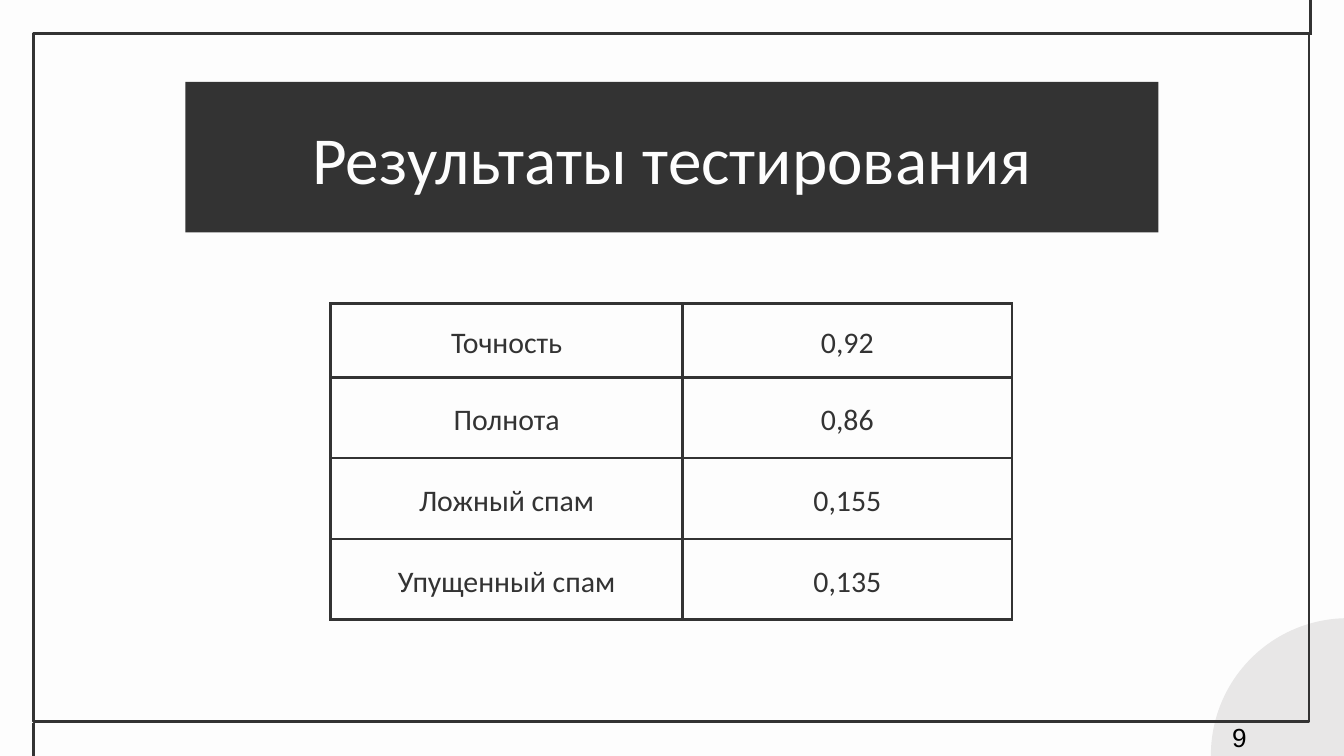
"""Build the slide with the spam filter test results."""
from typing import NamedTuple

from lxml import etree
from pptx import Presentation
from pptx.dml.color import RGBColor
from pptx.enum.shapes import MSO_CONNECTOR as Connector, MSO_SHAPE as Shape
from pptx.enum.text import MSO_ANCHOR as Anchor, MSO_AUTO_SIZE as AutoSize, PP_ALIGN as Align
from pptx.oxml.ns import qn
from pptx.util import Inches, Pt

DARK = RGBColor(0x33, 0x33, 0x33)
LIGHT = RGBColor(0xFD, 0xFD, 0xFD)
GREY = RGBColor(0xE8, 0xE7, 0xE7)
BLACK = RGBColor(0, 0, 0)
LINE_WIDTH = Pt(1.5)
SLIDE_WIDTH = 10


class Box(NamedTuple):
    left: float
    top: float
    width: float
    height: float

    def lengths(self) -> list:
        return [Inches(value) for value in self]


class Metric(NamedTuple):
    name: str
    value: str


class Stroke(NamedTuple):
    x: float
    top: float
    bottom: float


METRICS = [
    Metric("Точность", "0,92"),
    Metric("Полнота", "0,86"),
    Metric("Ложный спам", "0,155"),
    Metric("Упущенный спам", "0,135"),
]
FRAME = Box(0.25, 0.25, 9.49, 5.12)
STROKES = [Stroke(9.75, -0.05, 0.26), Stroke(0.25, 5.38, 5.69)]
TABLE = Box(2.46, 2.26, 5.07, 2.34)
COLUMN_WIDTHS = [2.62, 2.45]
ROW_HEIGHTS = [0.55, 0.6, 0.6, 0.6]


def write_text(frame, text: str, *, size: float, color: RGBColor, font: str = "Calibri",
               align: Align = Align.CENTER, spacing: float = 1.0) -> None:
    paragraph = frame.paragraphs[0]
    paragraph.alignment = align
    paragraph.line_spacing = spacing
    run = paragraph.add_run()
    run.text = text
    run.font.name = font
    run.font.size = Pt(size)
    run.font.color.rgb = color


def add_outline(slide, kind: Shape, box: Box, fill: RGBColor | None = None) -> None:
    shape = slide.shapes.add_shape(kind, *box.lengths())
    shape.shadow.inherit = False
    if fill is None:
        shape.fill.background()
        shape.line.color.rgb = DARK
        shape.line.width = LINE_WIDTH
    else:
        shape.fill.solid()
        shape.fill.fore_color.rgb = fill
        shape.line.fill.background()


def add_stroke(slide, stroke: Stroke) -> None:
    x = Inches(stroke.x)
    line = slide.shapes.add_connector(
        Connector.STRAIGHT, x, Inches(stroke.top), x, Inches(stroke.bottom))
    line.line.color.rgb = DARK
    line.line.width = LINE_WIDTH
    etree.SubElement(line._element.spPr, qn("a:effectLst"))


def add_borders(cell) -> None:
    properties = cell._tc.get_or_add_tcPr()
    for index, side in enumerate("LRTB"):
        border = etree.Element(qn(f"a:ln{side}"), w=str(int(LINE_WIDTH)))
        fill = etree.SubElement(border, qn("a:solidFill"))
        etree.SubElement(fill, qn("a:srgbClr"), val=str(DARK))
        properties.insert(index, border)


def add_metrics(slide) -> None:
    table = slide.shapes.add_table(
        len(METRICS), len(COLUMN_WIDTHS), *TABLE.lengths()).table
    table.first_row = table.horz_banding = False
    for column, width in zip(table.columns, COLUMN_WIDTHS):
        column.width = Inches(width)
    for row, height, metric in zip(table.rows, ROW_HEIGHTS, METRICS):
        row.height = Inches(height)
        for cell, text in zip(row.cells, metric):
            cell.fill.background()
            cell.vertical_anchor = Anchor.MIDDLE
            cell.margin_left = cell.margin_right = Inches(0.07)
            cell.margin_top = cell.margin_bottom = 0
            write_text(cell.text_frame, text, size=16, color=DARK, spacing=1.15)
            add_borders(cell)


def add_page_number(slide, number: str) -> None:
    frame = slide.shapes.add_textbox(*Box(9.07, 5.32, 2.25, 0.3).lengths()).text_frame
    frame.word_wrap = True
    write_text(frame, number, size=14, color=BLACK, font="Arial", align=Align.LEFT)


def format_title(slide, text: str) -> None:
    title = slide.shapes.title
    title.left, title.top, title.width, title.height = Box(1.38, 0.61, 7.24, 1.12).lengths()
    title.fill.solid()
    title.fill.fore_color.rgb = DARK
    frame = title.text_frame
    frame.auto_size = AutoSize.NONE
    frame.vertical_anchor = Anchor.MIDDLE
    frame.margin_left = frame.margin_right = Inches(0.2)
    frame.margin_top = frame.margin_bottom = Inches(0.1)
    write_text(frame, text, size=36, color=LIGHT)


def main() -> None:
    presentation = Presentation()
    presentation.slide_width = Inches(SLIDE_WIDTH)
    presentation.slide_height = Inches(SLIDE_WIDTH * 9 / 16)
    slide = presentation.slides.add_slide(presentation.slide_layouts[5])
    slide.background.fill.solid()
    slide.background.fill.fore_color.rgb = LIGHT
    add_outline(slide, Shape.OVAL, Box(9.01, 4.6, 2.04, 2.04), GREY)
    for stroke in STROKES:
        add_stroke(slide, stroke)
    add_outline(slide, Shape.RECTANGLE, FRAME)
    add_metrics(slide)
    add_page_number(slide, "9")
    format_title(slide, "Результаты тестирования")
    presentation.save("out.pptx")


if __name__ == "__main__":
    main()
